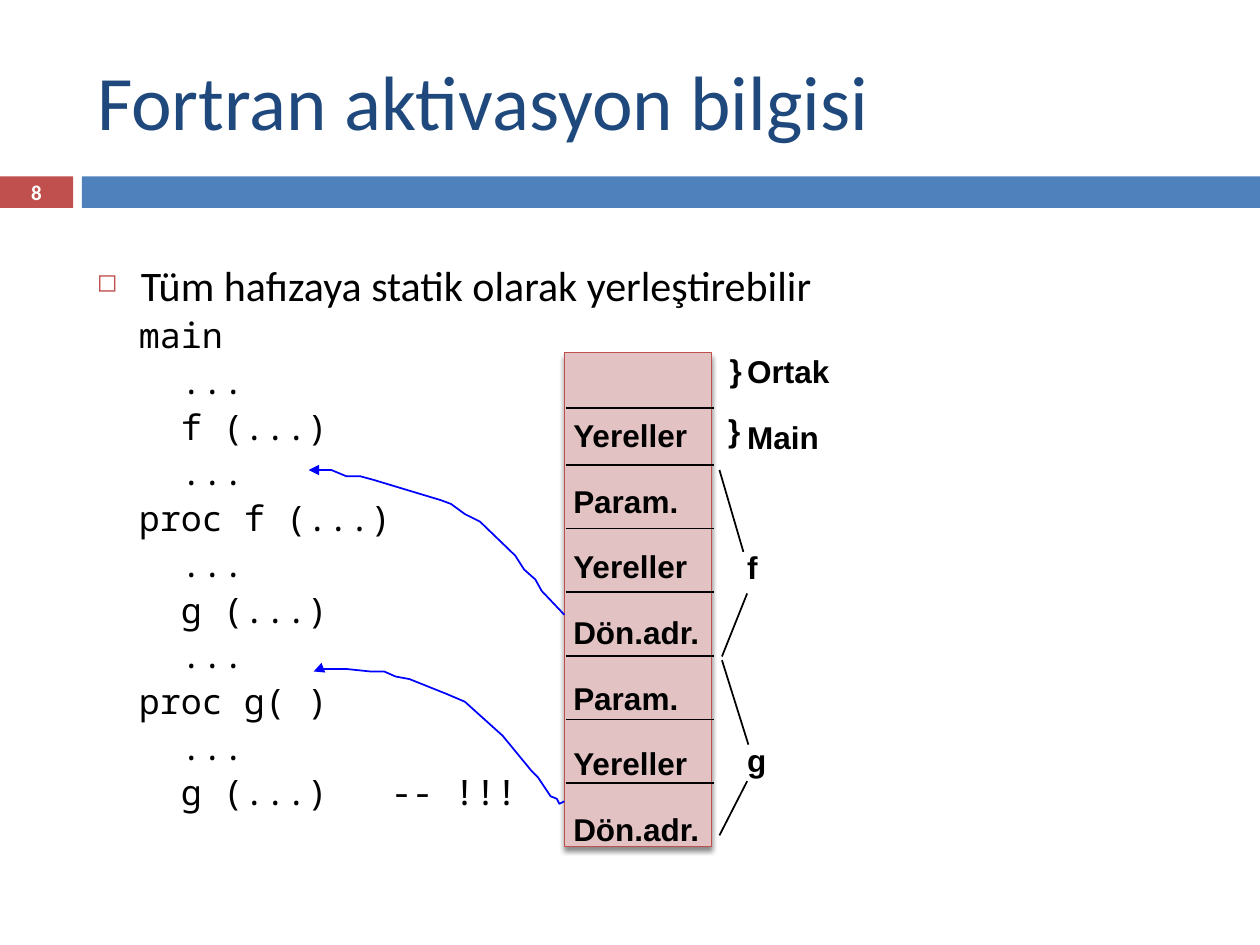
import pptx
import pptx.dml.color
import pptx.enum.shapes
import pptx.enum.text
import pptx.oxml
import pptx.oxml.ns
import pptx.util

Inches = pptx.util.Inches
Pt = pptx.util.Pt
ALIGN = pptx.enum.text.PP_ALIGN
ANCHOR = pptx.enum.text.MSO_ANCHOR
NAMESPACE = pptx.oxml.ns.nsdecls("a")

RED, BLUE, NAVY = "C0504D", "4F81BD", "1F497D"
PINK, ARROW_BLUE, BLACK, WHITE = "E2C2C2", "0000FF", "000000", "FFFFFF"


def color(value):
    return pptx.dml.color.RGBColor.from_string(value)


class SlideBuilder:
    heading_font = "Calibri"
    code_font = "Noto Sans Mono"
    label_font = "Arial"
    tight_insets = (0.07, 0.03, 0.07, 0.03)

    def __init__(self, slide):
        self.slide = slide

    def format_font(self, paragraph, name, size, value=BLACK, bold=False):
        for run in paragraph.runs:
            run.font.name = name
            run.font.size = Pt(size)
            run.font.bold = bold
            run.font.color.rgb = color(value)

    def set_insets(self, frame, insets):
        (frame.margin_left, frame.margin_top,
         frame.margin_right, frame.margin_bottom) = map(Inches, insets)

    def title(self, text, left, top, width, height):
        shape = self.slide.shapes.title
        shape.left, shape.top = Inches(left), Inches(top)
        shape.width, shape.height = Inches(width), Inches(height)
        frame = shape.text_frame
        frame.text = text
        frame.vertical_anchor = ANCHOR.MIDDLE
        frame.paragraphs[0].alignment = ALIGN.LEFT
        self.format_font(frame.paragraphs[0], self.heading_font, 44, NAVY)

    def rectangle(self, left, top, width, height, fill, line=None):
        shape = self.slide.shapes.add_shape(
            pptx.enum.shapes.MSO_SHAPE.RECTANGLE,
            Inches(left), Inches(top), Inches(width), Inches(height))
        shape.shadow.inherit = False
        shape.fill.solid()
        shape.fill.fore_color.rgb = color(fill)
        if line:
            shape.line.color.rgb = color(line)
            shape.line.width = Pt(0.79)
        else:
            shape.line.fill.background()
        return shape

    def drop_shadow(self, shape):
        effects = shape._element.spPr.find(pptx.oxml.ns.qn("a:effectLst"))
        effects.append(pptx.oxml.parse_xml(
            f'<a:outerShdw {NAMESPACE} blurRad="{Pt(3)}" dist="{Pt(2.4)}" '
            'dir="5400000" rotWithShape="0"><a:srgbClr val="000000">'
            '<a:alpha val="45000"/></a:srgbClr></a:outerShdw>'))

    def text_box(self, left, top, width, height, wrap=True):
        box = self.slide.shapes.add_textbox(
            Inches(left), Inches(top), Inches(width), Inches(height))
        box.text_frame.word_wrap = wrap
        return box.text_frame

    def labels(self, frame, texts, gaps, insets=tight_insets):
        """Bold labels; gaps holds the space before each one after the first."""
        self.set_insets(frame, insets)
        frame.vertical_anchor = ANCHOR.TOP
        frame.text = "\n".join(texts)
        for paragraph, gap in zip(frame.paragraphs, [0, *gaps]):
            paragraph.alignment = ALIGN.LEFT
            paragraph.line_spacing = 0.85
            paragraph.space_before = Pt(gap)
            self.format_font(paragraph, self.label_font, 18, bold=True)

    def bullet(self, paragraph):
        properties = paragraph._p.get_or_add_pPr()
        properties.set("marL", str(Inches(0.35)))
        properties.set("indent", str(Inches(-0.35)))
        for xml in (f'<a:buClr {NAMESPACE}><a:srgbClr val="{RED}"/></a:buClr>',
                    f'<a:buSzPct {NAMESPACE} val="60000"/>',
                    f'<a:buChar {NAMESPACE} char="◻"/>'):
            properties.append(pptx.oxml.parse_xml(xml))
        self.format_font(paragraph, self.heading_font, 24)

    def code_line(self, paragraph):
        paragraph.line_spacing = 0.8
        paragraph.space_before = Pt(6.9)
        self.format_font(paragraph, self.code_font, 20)

    def line(self, x1, y1, x2, y2):
        connector = self.slide.shapes.add_connector(
            pptx.enum.shapes.MSO_CONNECTOR.STRAIGHT,
            Inches(x1), Inches(y1), Inches(x2), Inches(y2))
        connector.line.color.rgb = color(BLACK)
        connector.line.width = Pt(1)
        connector._element.spPr.append(
            pptx.oxml.parse_xml(f"<a:effectLst {NAMESPACE}/>"))

    def curved_arrow(self, points):
        """Open outline with an arrowhead; points are in hundredths of an inch."""
        builder = self.slide.shapes.build_freeform(
            *points[0], scale=Inches(0.01))
        builder.add_line_segments(points[1:], close=False)
        shape = builder.convert_to_shape()
        shape.shadow.inherit = False
        shape.fill.background()
        shape.line.color.rgb = color(ARROW_BLUE)
        shape.line.width = Pt(1)
        shape.line._get_or_add_ln().append(
            pptx.oxml.parse_xml(f'<a:tailEnd {NAMESPACE} type="triangle"/>'))


def main():
    presentation = pptx.Presentation()
    presentation.slide_width = Inches(10)
    presentation.slide_height = Inches(7.5)
    slide = presentation.slides.add_slide(presentation.slide_layouts[5])
    builder = SlideBuilder(slide)

    # Title, band and slide number
    builder.title("Fortran aktivasyon bilgisi", 0.67, 0.25, 8.92, 1.08)
    number = builder.rectangle(0, 1.4, 0.58, 0.25, RED).text_frame
    builder.rectangle(0.65, 1.4, 9.35, 0.25, BLUE)
    builder.set_insets(number, (0, 0, 0, 0))
    number.text = "8"
    number.vertical_anchor = ANCHOR.MIDDLE
    number.paragraphs[0].alignment = ALIGN.CENTER
    builder.format_font(number.paragraphs[0], builder.heading_font, 12,
                        WHITE, bold=True)

    # Statement and program listing
    body = builder.text_box(0.67, 1.5, 9.33, 5.58)
    body.margin_top = Inches(0.56)
    body.text = "\n".join([
        "Tüm hafızaya statik olarak yerleştirebilir",
        "  main",
        "    ...",
        "    f (...)",
        "    ...",
        "  proc f (...)",
        "    ...",
        "    g (...)",
        "    ...",
        "  proc g( )",
        "    ...",
        "    g (...)   -- !!!",
    ])
    builder.bullet(body.paragraphs[0])
    for paragraph in body.paragraphs[1:]:
        builder.code_line(paragraph)

    # Memory stack with dividers
    stack = builder.rectangle(4.48, 2.8, 1.17, 3.92, PINK, RED)
    builder.drop_shadow(stack)
    record = ["Param.", "Yereller", "Dön.adr."]
    builder.labels(stack.text_frame, ["Yereller", *record, *record],
                   [19.1] * 6, (0.07, 0.55, 0, 0.03))
    for y in [3.24] + [3.69 + 0.505 * row for row in range(6)]:
        builder.line(4.49, y, 5.67, y)

    # Owners of the stack areas
    owners = builder.text_box(5.86, 2.81, 0.8, 3.4, wrap=False)
    builder.labels(owners, ["Ortak", "Main", "f", "g"], [19.1, 56, 92.3])
    for left, top in ((5.72, 2.8), (5.71, 3.28)):
        brace = builder.text_box(left, top, 0.27, 0.4, wrap=False)
        builder.labels(brace, ["}"], [])
    for ends in ((5.71, 3.73, 5.9, 4.38), (5.73, 5.21, 5.93, 4.71),
                 (5.73, 5.24, 5.94, 5.91), (5.71, 6.63, 5.93, 6.2)):
        builder.line(*ends)

    # Return addresses pointing back to the calls
    builder.curved_arrow([
        (448, 488), (430, 469), (425, 460), (416, 452), (409, 441),
        (381, 414), (369, 408), (358, 400), (350, 397), (297, 381),
        (286, 378), (275, 378), (263, 373), (245, 373)])
    builder.curved_arrow([
        (448, 636), (444, 638), (442, 634), (437, 632), (427, 617),
        (422, 612), (399, 584), (369, 557), (355, 551), (325, 539),
        (314, 537), (305, 533), (294, 533), (275, 531), (248, 531),
        (249, 533)])

    presentation.save("out.pptx")


if __name__ == "__main__":
    main()
